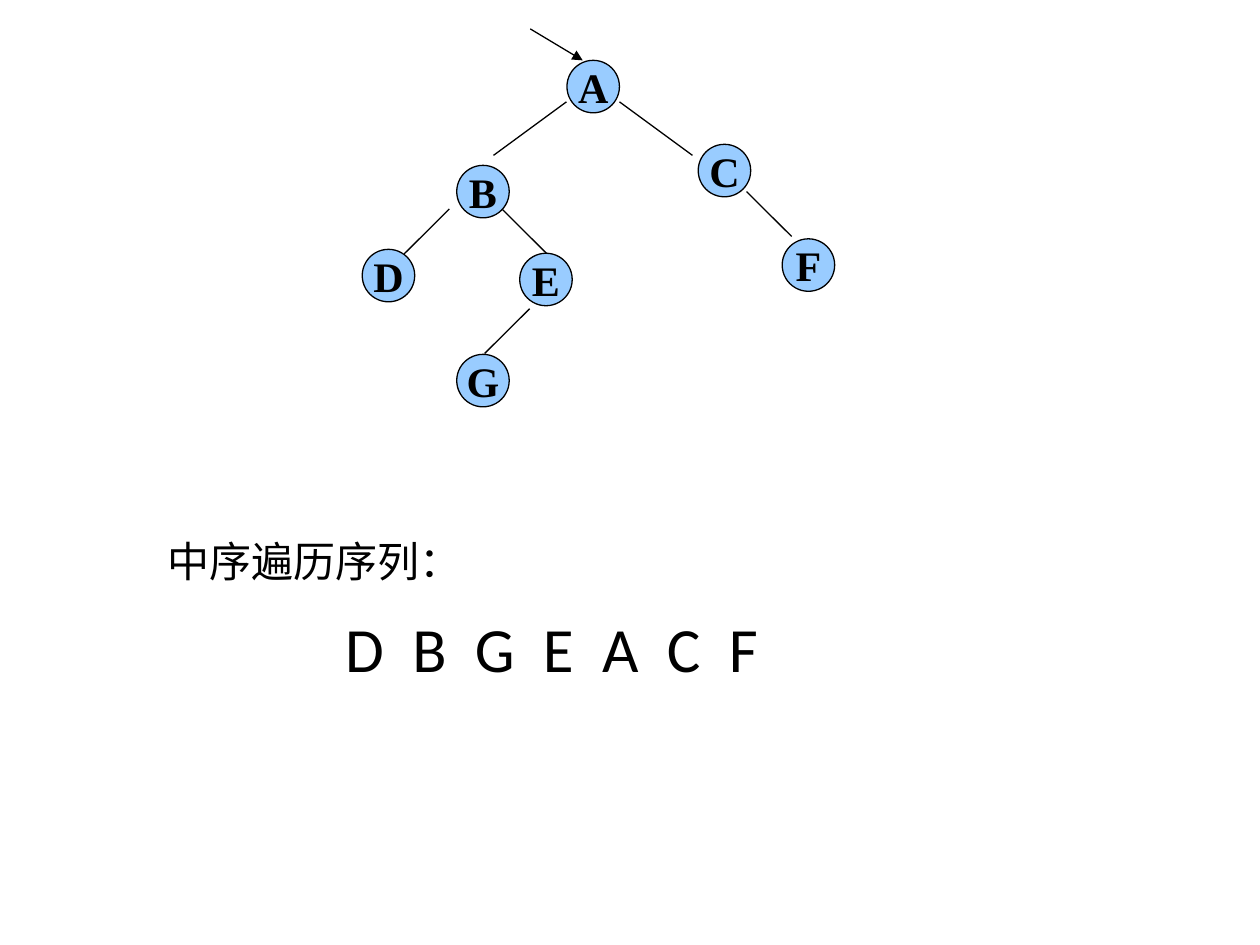
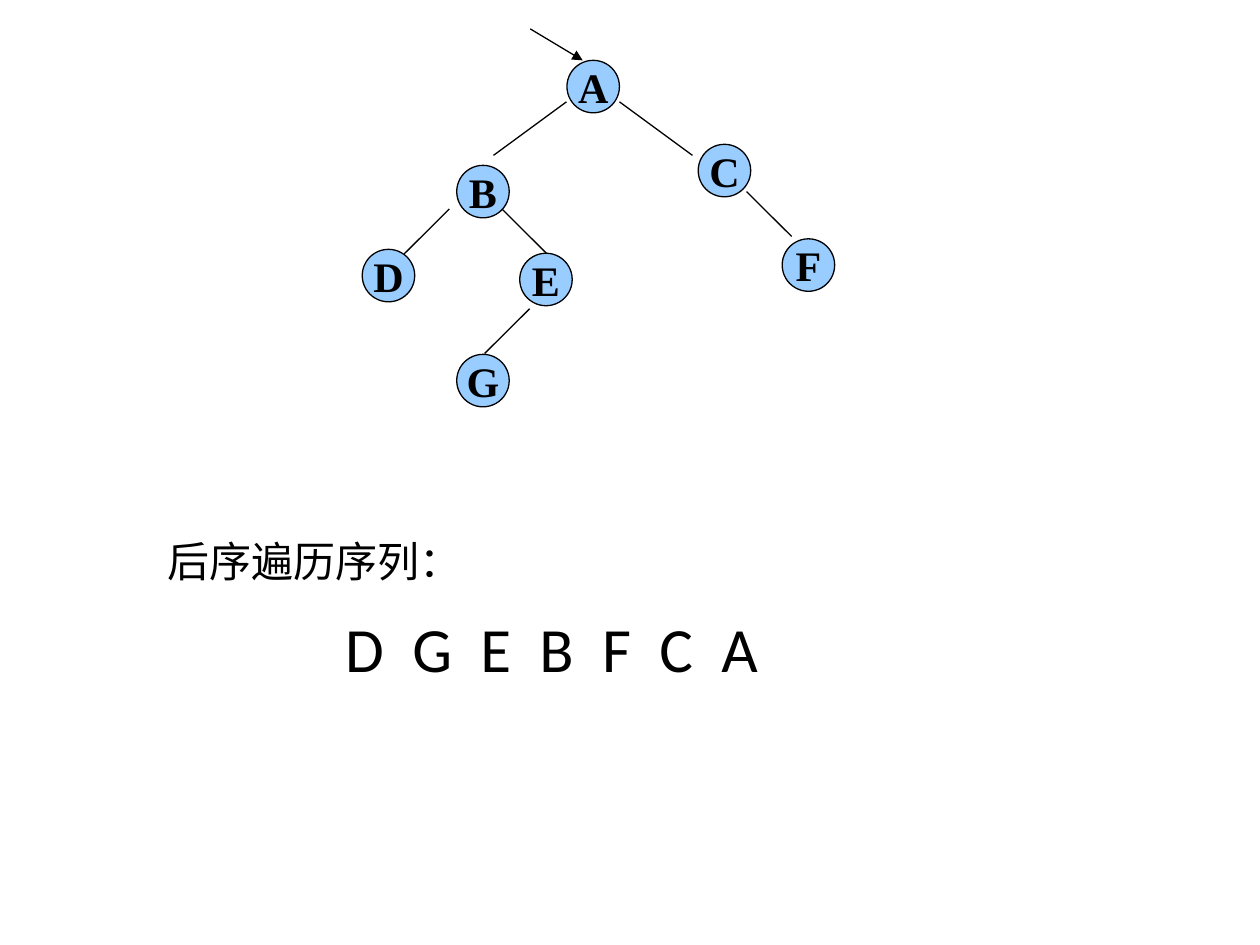
from lxml import etree
from pptx import Presentation
from pptx import util as u
from pptx.dml import color
from pptx.enum import shapes, text
from pptx.oxml import ns

COLORS = {"node": "99CCFF", "ink": "000000", "page": "FFFFFF"}
COLS, ROWS = 240, 180
NODE = 10

TREE_BOX = (69, 5.5)
CAPTION_BOX = (29.5, 100.8, 132.7, 12)
SEQUENCE_BOX = (63.4, 115, 121, 17)

NODES = {
    "B": (18, 26), "A": (39, 6), "C": (64, 22), "E": (30, 42.75),
    "D": (0, 42), "G": (18, 62), "F": (80, 40),
}
STEEP, WIDE = (8.6, 8.55), (13.9, 10.2)
EDGES = [
    (38.9, 13.9, -1, WIDE),
    (49, 13.9, 1, WIDE),
    (26.6, 34.3, 1, STEEP),
    (31.9, 53.3, -1, STEEP),
    (16.6, 34.3, -1, STEEP),
    (73.2, 31, 1, STEEP),
]
ROOT_POINTER = (32, 0, 42, 6)

TRAVERSALS = [
    ("中序遍历序列：", "DBGEACF"),
    ("后序遍历序列：", "DGEBFCA"),
]

prs = Presentation()
prs.slide_width, prs.slide_height = u.Inches(10), u.Inches(7.5)


def rgb(name):
    return color.RGBColor.from_string(COLORS[name])


def col(n):
    return round(prs.slide_width * n / COLS)


def row(n):
    return round(prs.slide_height * n / ROWS)


def style_run(p, size, font, bold=False):
    r = p.runs[0]
    r.font.size, r.font.name, r.font.bold = u.Pt(size), font, bold
    r.font.color.rgb = rgb("ink")
    return r


def add_line(slide, x1, y1, x2, y2, arrow=False):
    c = slide.shapes.add_connector(
        shapes.MSO_CONNECTOR.STRAIGHT, col(x1), row(y1), col(x2), row(y2))
    c.line.color.rgb = rgb("ink")
    c.line.width = u.Pt(0.75)
    if arrow:
        etree.SubElement(c.line._get_or_add_ln(), ns.qn("a:tailEnd"), type="triangle")
    etree.SubElement(c._element.spPr, ns.qn("a:effectLst"))


def add_node(slide, label, x, y):
    sp = slide.shapes.add_shape(
        shapes.MSO_SHAPE.OVAL, col(x), row(y), col(NODE), row(NODE))
    sp.shadow.inherit = False
    sp.fill.solid()
    sp.fill.fore_color.rgb = rgb("node")
    sp.line.color.rgb = rgb("ink")
    sp.line.width = u.Pt(0.75)
    tf = sp.text_frame
    tf.word_wrap = False
    tf.vertical_anchor = text.MSO_ANCHOR.MIDDLE
    tf.text = label
    p = tf.paragraphs[0]
    p.alignment = text.PP_ALIGN.CENTER
    style_run(p, 24, "Times New Roman", bold=True)


def draw_tree(slide, box):
    left, top = box
    for x, y, side, (dx, dy) in EDGES:
        add_line(slide, left + x, top + y, left + x + side * dx, top + y + dy)
    for label, (x, y) in NODES.items():
        add_node(slide, label, left + x, top + y)
    x1, y1, x2, y2 = ROOT_POINTER
    add_line(slide, left + x1, top + y1, left + x2, top + y2, arrow=True)


def draw_text(slide, box, content, size, tracking=0):
    x, y, w, h = box
    tf = slide.shapes.add_textbox(col(x), row(y), col(w), row(h)).text_frame
    tf.word_wrap = True
    tf.auto_size = text.MSO_AUTO_SIZE.SHAPE_TO_FIT_TEXT
    tf.text = content
    r = style_run(tf.paragraphs[0], size, "Calibri")
    if tracking:
        r.font._element.set("spc", str(tracking))


def traversal_slide(caption, order):
    slide = prs.slides.add_slide(prs.slide_layouts[6])
    slide.background.fill.solid()
    slide.background.fill.fore_color.rgb = rgb("page")
    draw_tree(slide, TREE_BOX)
    draw_text(slide, CAPTION_BOX, caption, 24)
    draw_text(slide, SEQUENCE_BOX, " ".join(order), 36, tracking=405)


def main():
    for caption, order in TRAVERSALS:
        traversal_slide(caption, order)
    prs.save("out.pptx")


if __name__ == "__main__":
    main()
